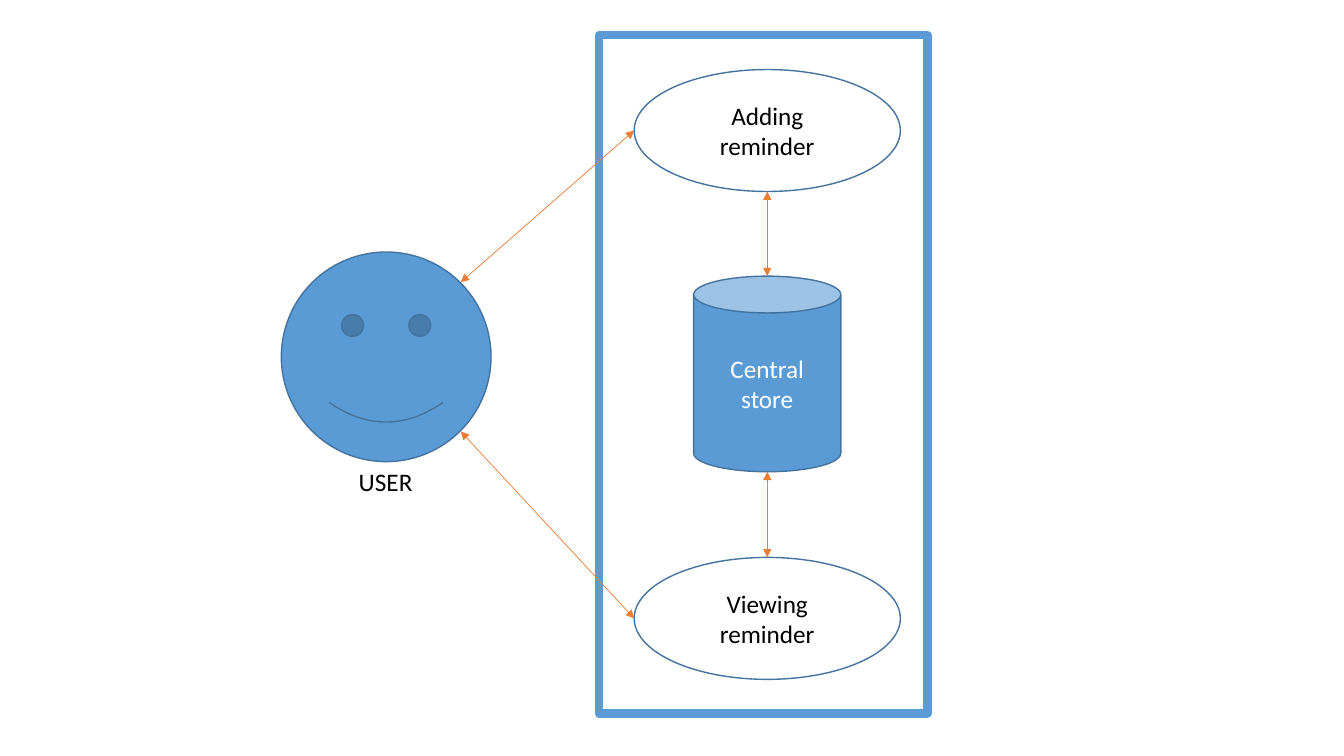
from dataclasses import dataclass

from lxml.etree import SubElement
from pptx import Presentation
from pptx.dml.color import RGBColor
from pptx.enum.shapes import MSO_CONNECTOR, MSO_SHAPE as SHAPE
from pptx.enum.text import MSO_ANCHOR, MSO_AUTO_SIZE, PP_ALIGN
from pptx.oxml.ns import qn
from pptx.slide import Slide
from pptx.text.text import TextFrame
from pptx.util import Inches, Pt

BLUE, EDGE, ORANGE = "5B9BD5", "43739E", "ED7D31"
WHITE, BLACK = "FFFFFF", "000000"
AXIS = 7.61
OVAL_W, OVAL_H = 2.64, 1.21
OVAL_LEFT = AXIS - OVAL_W / 2
ADD_TOP, VIEW_TOP = 0.69, 5.53
STORE_W, STORE_TOP, STORE_H = 1.46, 2.74, 1.94
FACE_RIGHT_X = 4.57


@dataclass
class Node:
    kind: SHAPE
    left: float
    top: float
    width: float
    height: float
    fill: str
    line: str = EDGE
    weight: float = 1
    text: str = ""
    color: str = BLACK


@dataclass
class Arrow:
    x1: float
    y1: float
    x2: float
    y2: float


NODES = [
    Node(SHAPE.SMILEY_FACE, 2.79, 2.5, 2.08, 2.08, BLUE),
    Node(SHAPE.RECTANGLE, 5.94, 0.35, 3.26, 6.73, WHITE, BLUE, 6),
    Node(SHAPE.OVAL, OVAL_LEFT, ADD_TOP, OVAL_W, OVAL_H, WHITE, text="Adding reminder"),
    Node(SHAPE.OVAL, OVAL_LEFT, VIEW_TOP, OVAL_W, OVAL_H, WHITE, text="Viewing reminder"),
    Node(SHAPE.CAN, AXIS - STORE_W / 2, STORE_TOP, STORE_W, STORE_H, BLUE,
         text="Central store", color=WHITE),
]

ARROWS = [
    Arrow(AXIS, STORE_TOP + STORE_H, AXIS, VIEW_TOP),
    Arrow(AXIS, ADD_TOP + OVAL_H, AXIS, STORE_TOP),
    Arrow(OVAL_LEFT, VIEW_TOP + OVAL_H / 2, FACE_RIGHT_X, 4.28),
    Arrow(OVAL_LEFT, ADD_TOP + OVAL_H / 2, FACE_RIGHT_X, 2.8),
]


def rgb(value: str) -> RGBColor:
    return RGBColor.from_string(value)


def write(tf: TextFrame, text: str, color: str) -> None:
    tf.text = text
    font = tf.paragraphs[0].runs[0].font
    font.name, font.size = "Calibri", Pt(18)
    font.color.rgb = rgb(color)


def draw_node(slide: Slide, node: Node) -> None:
    sp = slide.shapes.add_shape(node.kind, Inches(node.left), Inches(node.top),
                                Inches(node.width), Inches(node.height))
    sp.shadow.inherit = False
    sp.fill.solid()
    sp.fill.fore_color.rgb = rgb(node.fill)
    sp.line.color.rgb = rgb(node.line)
    sp.line.width = Pt(node.weight)
    if node.text:
        tf = sp.text_frame
        write(tf, node.text, node.color)
        tf.word_wrap = True
        tf.vertical_anchor = MSO_ANCHOR.MIDDLE
        tf.paragraphs[0].alignment = PP_ALIGN.CENTER


def draw_arrow(slide: Slide, arrow: Arrow) -> None:
    cxn = slide.shapes.add_connector(MSO_CONNECTOR.STRAIGHT, Inches(arrow.x1), Inches(arrow.y1),
                                     Inches(arrow.x2), Inches(arrow.y2))
    cxn.line.color.rgb = rgb(ORANGE)
    cxn.line.width = Pt(0.5)
    ln = cxn.line._get_or_add_ln()
    for end in ("a:headEnd", "a:tailEnd"):
        SubElement(ln, qn(end), type="triangle")
    SubElement(cxn._element.spPr, qn("a:effectLst"))


def draw_label(slide: Slide, text: str) -> None:
    box = slide.shapes.add_textbox(Inches(3.46), Inches(4.58), Inches(0.74), Inches(0.4))
    tf = box.text_frame
    write(tf, text, BLACK)
    tf.word_wrap = False
    tf.auto_size = MSO_AUTO_SIZE.SHAPE_TO_FIT_TEXT


def main() -> None:
    prs = Presentation()
    prs.slide_width, prs.slide_height = Inches(13.33), Inches(7.5)
    slide = prs.slides.add_slide(prs.slide_layouts[6])
    for node in NODES:
        draw_node(slide, node)
    draw_label(slide, "USER")
    for arrow in ARROWS:
        draw_arrow(slide, arrow)
    prs.save("out.pptx")


if __name__ == "__main__":
    main()
